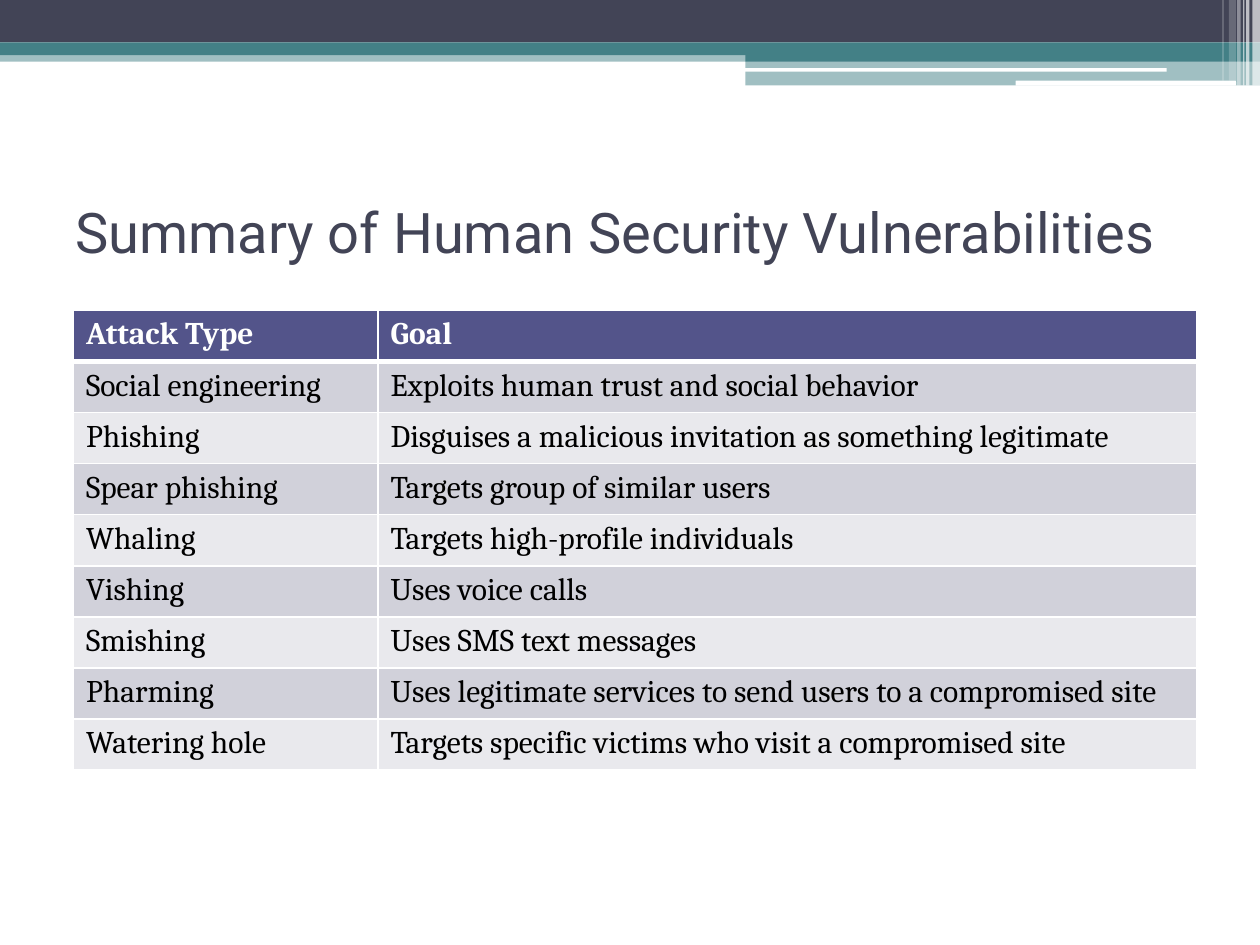
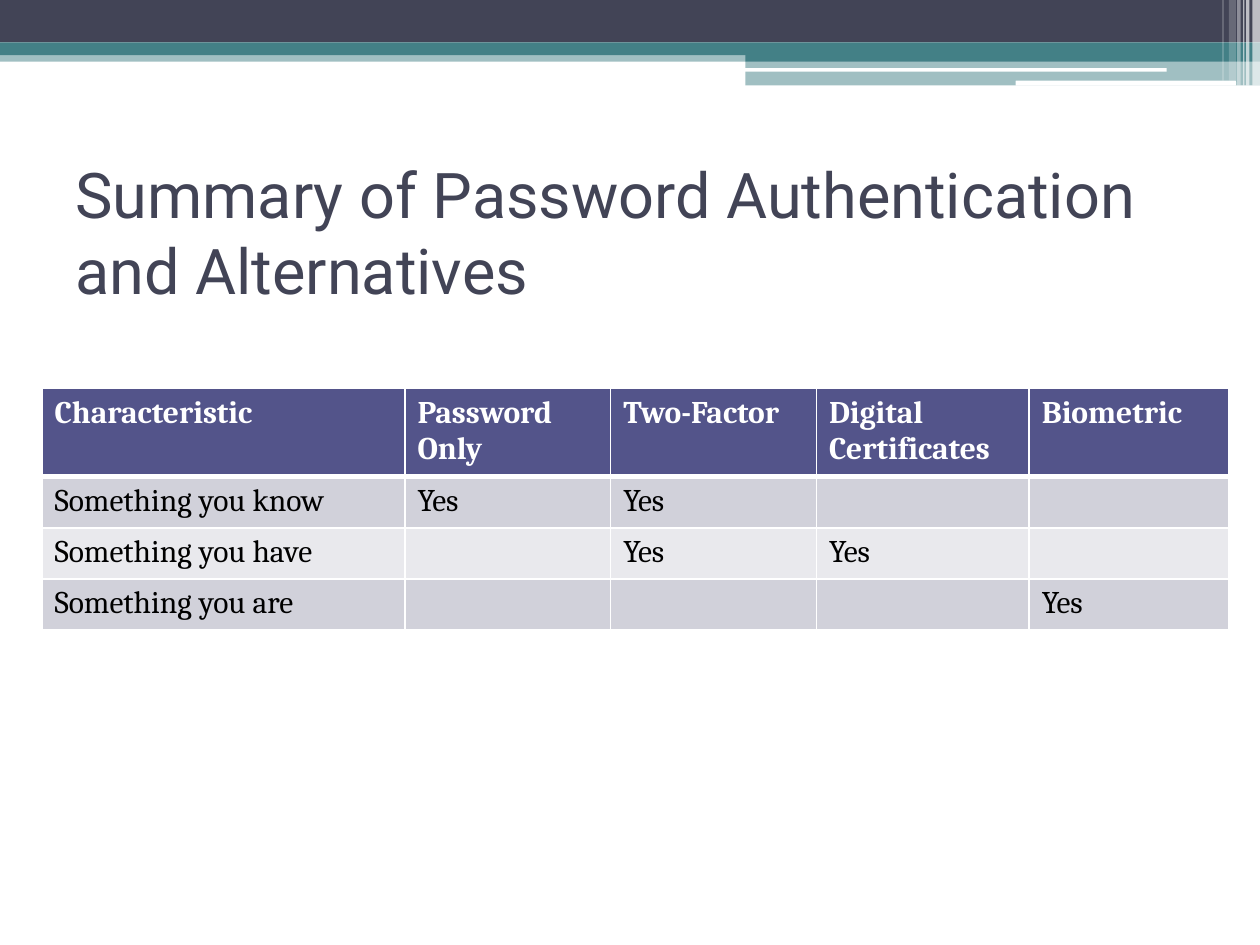
from dataclasses import dataclass

from lxml import etree
from pptx import Presentation
from pptx.dml.color import RGBColor
from pptx.enum.shapes import MSO_SHAPE
from pptx.enum.text import MSO_ANCHOR
from pptx.oxml.ns import qn
from pptx.util import Pt

RECTANGLE = MSO_SHAPE.RECTANGLE
ROUNDED = MSO_SHAPE.ROUNDED_RECTANGLE
MIDDLE = MSO_ANCHOR.MIDDLE


@dataclass(frozen=True)
class Theme:
    navy: str = "424456"
    teal: str = "438086"
    white: str = "FFFFFF"
    black: str = "000000"
    header: str = "53548A"
    bands: tuple = ("D1D1DA", "E9E9ED")
    title_font: str = "Roboto"
    table_font: str = "Cambria"
    table_size: int = 18
    row_height: float = 29.2
    thin_border: int = 1
    thick_border: int = 3


THEME = Theme()

BANDS = [
    (0, 28.8, 720, 6.5, THEME.teal, 50),
    (0, 0, 720, 24.3, THEME.navy, 100),
    (0, 24.3, 720, 7.3, THEME.teal, 100),
    (426, 28, 294, 7.2, THEME.teal, 100),
    (426, 35.2, 294, 13.6, THEME.teal, 50),
]
WHITE_BARS = [(425.5, 38.9, 241.2, 2.1), (580.3, 46.1, 126, 2.9)]
CORNER_STRIPES = [
    (715.6, 4.4, 48.9, 65),
    (712, 2, 48.9, 65),
    (710.4, 0.7, 48.9, 60),
    (707, 2, 48.9, 40),
    (702.2, 4, 46.1, 20),
    (698.5, 0.7, 46.1, 30),
]

ATTACKS = [
    ("Attack Type", "Goal"),
    ("Social engineering", "Exploits human trust and social behavior"),
    ("Phishing", "Disguises a malicious invitation as something legitimate"),
    ("Spear phishing", "Targets group of similar users"),
    ("Whaling", "Targets high-profile individuals"),
    ("Vishing", "Uses voice calls"),
    ("Smishing", "Uses SMS text messages"),
    ("Pharming", "Uses legitimate services to send users to a compromised site"),
    ("Watering hole", "Targets specific victims who visit a compromised site"),
]
AUTHENTICATION = [
    ("Characteristic", "Password Only", "Two-Factor", "Digital Certificates", "Biometric"),
    ("Something you know", "Yes", "Yes", "", ""),
    ("Something you have", "", "Yes", "Yes", ""),
    ("Something you are", "", "", "", "Yes"),
]


def paint(fill, color, opacity=100):
    fill.solid()
    fill.fore_color.rgb = RGBColor.from_string(color)
    if opacity < 100:
        tint = fill._xPr.find(qn("a:solidFill"))[0]
        etree.SubElement(tint, qn("a:alpha"), val=str(opacity * 1000))


def style_text(para, font, size, color, bold=False):
    para.font.name = font
    para.font.size = Pt(size)
    para.font.bold = bold
    para.font.color.rgb = RGBColor.from_string(color)


def add_block(page, left, top, width, height, color, opacity=100, kind=RECTANGLE):
    block = page.shapes.add_shape(kind, Pt(left), Pt(top), Pt(width), Pt(height))
    block.shadow.inherit = False
    block.line.fill.background()
    paint(block.fill, color, opacity)


def add_top_band(page):
    for band in BANDS:
        add_block(page, *band)
    for bar in WHITE_BARS:
        add_block(page, *bar, THEME.white, kind=ROUNDED)
    for left, width, height, opacity in CORNER_STRIPES:
        add_block(page, left, 0, width, height, THEME.white, opacity)


def add_title(page, text, size):
    box = page.shapes.add_textbox(Pt(36), Pt(90), Pt(648), Pt(84))
    frame = box.text_frame
    frame.word_wrap = True
    frame.vertical_anchor = MIDDLE
    para = frame.paragraphs[0]
    para.text = text
    style_text(para, THEME.title_font, size, THEME.navy)


def set_borders(cell, top, bottom):
    thin = THEME.thin_border
    properties = cell._tc.get_or_add_tcPr()
    sides = (("a:lnL", thin), ("a:lnR", thin), ("a:lnT", top), ("a:lnB", bottom))
    for position, (side, width) in enumerate(sides):
        line = etree.Element(qn(side), w=str(Pt(width)))
        fill = etree.SubElement(line, qn("a:solidFill"))
        etree.SubElement(fill, qn("a:srgbClr"), val=THEME.white)
        properties.insert(position, line)


def add_summary_table(page, left, top, widths, rows, header_height=THEME.row_height):
    heights = [header_height] + [THEME.row_height] * (len(rows) - 1)
    table = page.shapes.add_table(
        len(rows), len(widths), Pt(left), Pt(top), Pt(sum(widths)), Pt(sum(heights))
    ).table
    table.horz_banding = False
    for column, width in zip(table.columns, widths):
        column.width = Pt(width)
    for index, (row, height, texts) in enumerate(zip(table.rows, heights, rows)):
        row.height = Pt(height)
        is_header = index == 0
        background = THEME.header if is_header else THEME.bands[(index - 1) % 2]
        color = THEME.white if is_header else THEME.black
        above = THEME.thick_border if index == 1 else THEME.thin_border
        below = THEME.thick_border if is_header else THEME.thin_border
        for cell, text in zip(row.cells, texts):
            cell.text = text
            style_text(cell.text_frame.paragraphs[0], THEME.table_font,
                       THEME.table_size, color, is_header)
            paint(cell.fill, background)
            set_borders(cell, above, below)


def add_page(deck, title, title_size):
    page = deck.slides.add_slide(deck.slide_layouts[6])
    add_top_band(page)
    add_title(page, title, title_size)
    return page


def main():
    deck = Presentation()
    deck.slide_width, deck.slide_height = Pt(720), Pt(540)

    page = add_page(deck, "Summary of Human Security Vulnerabilities", 32)
    add_summary_table(page, 42, 177.3, (174, 468), ATTACKS)

    page = add_page(deck, "Summary of Password Authentication and Alternatives", 36)
    add_summary_table(page, 24, 222, (207.4, 117.6, 117.6, 121.6, 113.8),
                      AUTHENTICATION, header_height=48.6)

    deck.save("out.pptx")


if __name__ == "__main__":
    main()
